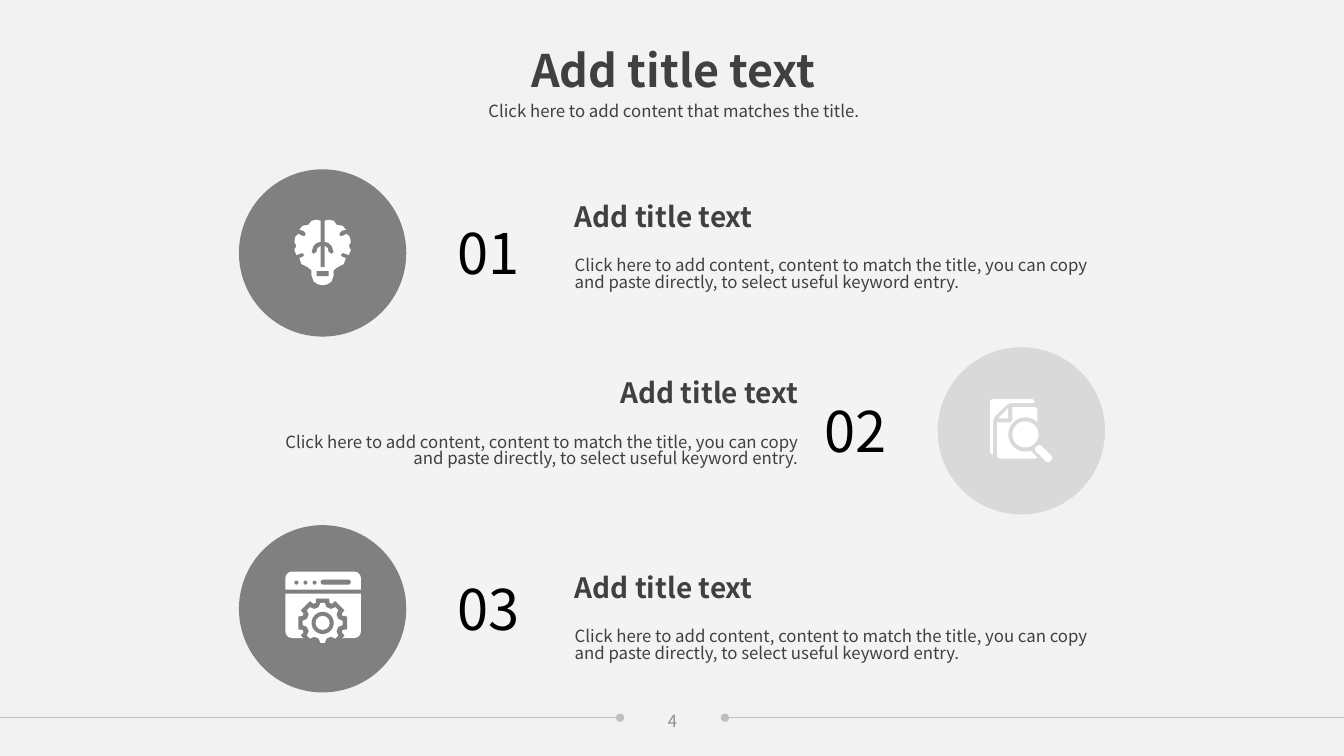
from math import cos, radians, sin
from lxml.etree import SubElement
from pptx import Presentation
from pptx.dml.color import RGBColor
from pptx.enum.shapes import MSO_CONNECTOR, MSO_SHAPE
from pptx.enum.text import MSO_ANCHOR, PP_ALIGN
from pptx.oxml.ns import qn
from pptx.util import Inches, Pt

FONT = "Noto Sans CJK SC"
COLORS = {"back": "F2F2F2", "panel": "F3F3F3", "text": "404040", "number": "000000",
          "page": "8C8C8C", "rule": "BFBFBF", "dark": "808080", "light": "D9D9D9",
          "icon": "FFFFFF"}
TITLE = "Add title text"
SUBTITLE = "Click here to add content that matches the title."
BODY = ("Click here to add content, content to match the title, you can copy "
        "and paste directly, to select useful keyword entry.")
PAGE = "4"

# number, circle colour, circle left, panel left, panel turn, number left,
# text left, title top, text alignment
LEFT, RIGHT = PP_ALIGN.LEFT, PP_ALIGN.RIGHT
ROWS = [
    ("01", "dark", 2.37, 3.06, 90, 4.12, 5.57, 1.91, LEFT),
    ("02", "light", 9.3, 2.37, 270, 7.76, 2.66, 3.66, RIGHT),
    ("03", "dark", 2.37, 3.06, 90, 4.12, 5.57, 5.59, LEFT),
]
TOP, PITCH, DISC = 1.68, 1.765, 1.66
PANEL_W, PANEL_H = 7.9, 1.46

# left half of the bulb, from its stem round to its foot
BULB = [
    (3.2, 2.65), (3.18, 2.65), (3.18, 2.44), (3.15, 2.46), (3.14, 2.5), (3.11, 2.52),
    (3.09, 2.5), (3.11, 2.44), (3.14, 2.41), (3.18, 2.4), (3.18, 2.19), (3.14, 2.18),
    (3.09, 2.19), (3.06, 2.23), (3, 2.24), (2.97, 2.28), (3.01, 2.29), (3.03, 2.31),
    (3.03, 2.34), (3, 2.34), (2.96, 2.32), (2.93, 2.35), (2.92, 2.4), (2.94, 2.44),
    (2.92, 2.48), (2.94, 2.53), (3, 2.51), (3.02, 2.53), (3, 2.55), (2.97, 2.56),
    (2.99, 2.62), (3.05, 2.65), (3.09, 2.68), (3.09, 2.73), (3.11, 2.79),
    (3.15, 2.82), (3.2, 2.83)]
BULB_MID = 3.2
BACK_PAGE = [(9.82, 3.98), (9.84, 3.96), (10.24, 3.96), (10.26, 3.98), (10.26, 4),
             (10.02, 4), (9.98, 4.02), (9.87, 4.13), (9.85, 4.17), (9.85, 4.51),
             (9.84, 4.51), (9.82, 4.49)]
FOLD = [(10, 4.05), (9.9, 4.15), (10, 4.15)]
FRONT_PAGE = [(10.04, 4.04), (10.27, 4.04), (10.29, 4.06), (10.29, 4.54), (10.27, 4.55),
              (9.91, 4.55), (9.89, 4.53), (9.89, 4.19), (10.02, 4.19), (10.04, 4.17)]
LENS, GEAR = (10.17, 4.31), (3.2, 6.18)

prs = Presentation()
prs.slide_width, prs.slide_height = Inches(13.33), Inches(7.5)
slide = prs.slides.add_slide(prs.slide_layouts[6])
shapes = slide.shapes


def rgb(name):
    return RGBColor.from_string(COLORS[name])


def paint(item, color):
    item.fill.solid()
    item.fill.fore_color.rgb = rgb(color)
    item.line.fill.background()
    item.shadow.inherit = False
    return item


def shape(kind, x, y, w, h, color, turn=0, *adjust):
    item = shapes.add_shape(kind, Inches(x), Inches(y), Inches(w), Inches(h))
    item.rotation = turn
    for i, value in enumerate(adjust):
        item.adjustments[i] = value
    return paint(item, color)


def disc(mid, radius, color):
    x, y = mid
    shape(MSO_SHAPE.OVAL, x - radius, y - radius, 2 * radius, 2 * radius, color)


def outline(points, color):
    spots = [(Inches(x), Inches(y)) for x, y in points]
    pen = shapes.build_freeform(*spots[0])
    pen.add_line_segments(spots[1:], close=True)
    paint(pen.convert_to_shape(), color)


def cog(tip, root, tip_turn, root_turn, color):
    """Draw eight teeth; each has half-angles at its tip and root."""
    corners = [(root, -root_turn), (tip, -tip_turn), (tip, tip_turn), (root, root_turn)]
    x, y = GEAR
    outline([(x + r * cos(radians(a + turn)), y + r * sin(radians(a + turn)))
             for turn in range(0, 360, 45) for r, a in corners], color)


def text(words, x, y, w, h, size, color="text", align=PP_ALIGN.CENTER, bold=False,
         anchor=MSO_ANCHOR.MIDDLE, inset=None, space=None, wrap=True):
    frame = shapes.add_textbox(Inches(x), Inches(y), Inches(w), Inches(h)).text_frame
    frame.word_wrap, frame.vertical_anchor = wrap, anchor
    if inset:
        frame.margin_left = frame.margin_right = Inches(inset)
        frame.margin_top = frame.margin_bottom = Inches(inset)
    line = frame.paragraphs[0]
    line.text, line.alignment = words, align
    if space:
        line.line_spacing = space
    font = line.font
    font.name, font.size, font.bold = FONT, Pt(size), bold
    font.color.rgb = rgb(color)


def rule(start, stop, end):
    y = Inches(7.12)
    item = shapes.add_connector(MSO_CONNECTOR.STRAIGHT, Inches(start), y, Inches(stop), y)
    item.line.width = Pt(0.5)
    item.line.color.rgb = rgb("rule")
    SubElement(item.line._get_or_add_ln(), qn(end), type="oval")
    SubElement(item._element.spPr, qn("a:effectLst"))


def bulb():
    mirror = [(2 * BULB_MID - x, y) for x, y in reversed(BULB[1:-1])]
    outline(BULB + mirror, "icon")
    shape(MSO_SHAPE.RECTANGLE, 3.14, 2.69, 0.12, 0.05, "dark")


def search():
    for points in (BACK_PAGE, FOLD, FRONT_PAGE):
        outline(points, "icon")
    shape(MSO_SHAPE.RECTANGLE, 10.2, 4.44, 0.2, 0.09, "light", 45)
    disc(LENS, 0.17, "light")
    disc(LENS, 0.13, "icon")
    shape(MSO_SHAPE.ROUNDED_RECTANGLE, 10.25, 4.46, 0.2, 0.08, "icon", 45, 0.4)


def window():
    shape(MSO_SHAPE.ROUND_2_SAME_RECTANGLE, 2.83, 5.67, 0.75, 0.18, "icon", 0, 0.36, 0)
    shape(MSO_SHAPE.ROUND_2_SAME_RECTANGLE, 2.83, 5.89, 0.75, 0.44, "icon", 180, 0.15, 0)
    for i in range(3):
        disc((2.94 + 0.09 * i, 5.78), 0.02, "dark")
    shape(MSO_SHAPE.ROUNDED_RECTANGLE, 3.18, 5.75, 0.3, 0.05, "dark", 0, 0.5)
    cog(0.25, 0.21, 15, 19, "dark")
    cog(0.2, 0.16, 6, 14, "icon")
    disc(GEAR, 0.11, "dark")
    disc(GEAR, 0.07, "icon")


slide.background.fill.solid()
slide.background.fill.fore_color.rgb = rgb("back")
rule(0, 6.15, "a:tailEnd")
rule(7.19, 13.33, "a:headEnd")
text(TITLE, 5.08, 0.37, 3.2, 0.64, 32, bold=True, anchor=MSO_ANCHOR.TOP, wrap=False)
text(SUBTITLE, 4.32, 0.92, 4.73, 0.31, 12, anchor=MSO_ANCHOR.TOP, space=1.14)
text(PAGE, 6.15, 6.95, 1.04, 0.4, 12, "page")

for i, (number, color, disc_x, panel_x, turn, number_x, text_x, title_y, align) in enumerate(ROWS):
    top = TOP + PITCH * i
    mid = top + DISC / 2
    shape(MSO_SHAPE.ROUND_2_SAME_RECTANGLE, panel_x + (PANEL_W - PANEL_H) / 2,
          mid - PANEL_W / 2, PANEL_H, PANEL_W, "panel", turn, 0.176, 0)
    text(number, number_x, top + 0.23, 1.45, 1.19, 40, "number", inset=0.13)
    disc((disc_x + DISC / 2, mid), DISC / 2, color)
    text(BODY, text_x, title_y + 0.45, 5.39, 0.74, 12, align=align, inset=0.13, space=0.82)
    text(TITLE, text_x, title_y, 5.39, 0.47, 20, align=align, bold=True, inset=0.13)

for icon in (bulb, search, window):
    icon()
prs.save("out.pptx")
